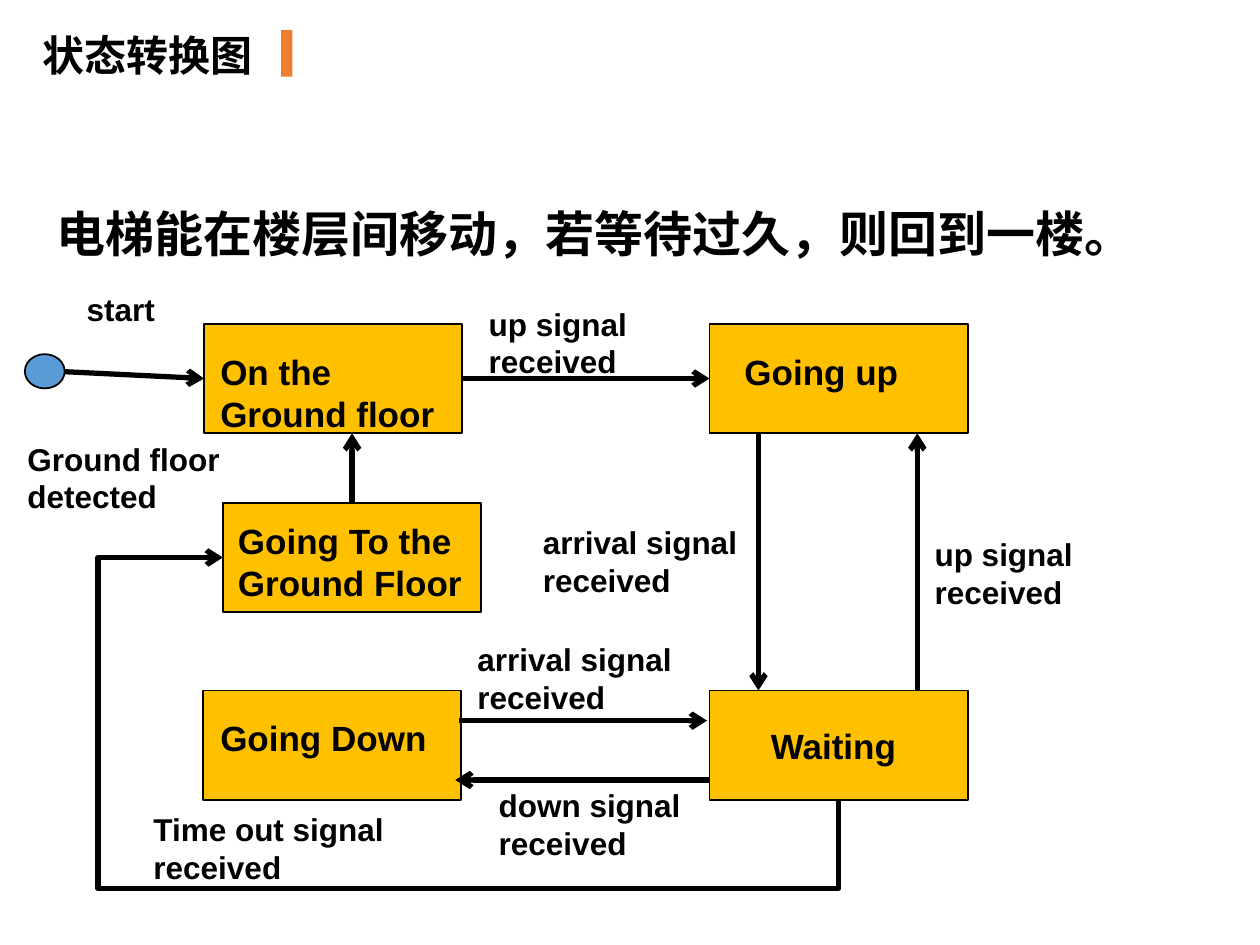
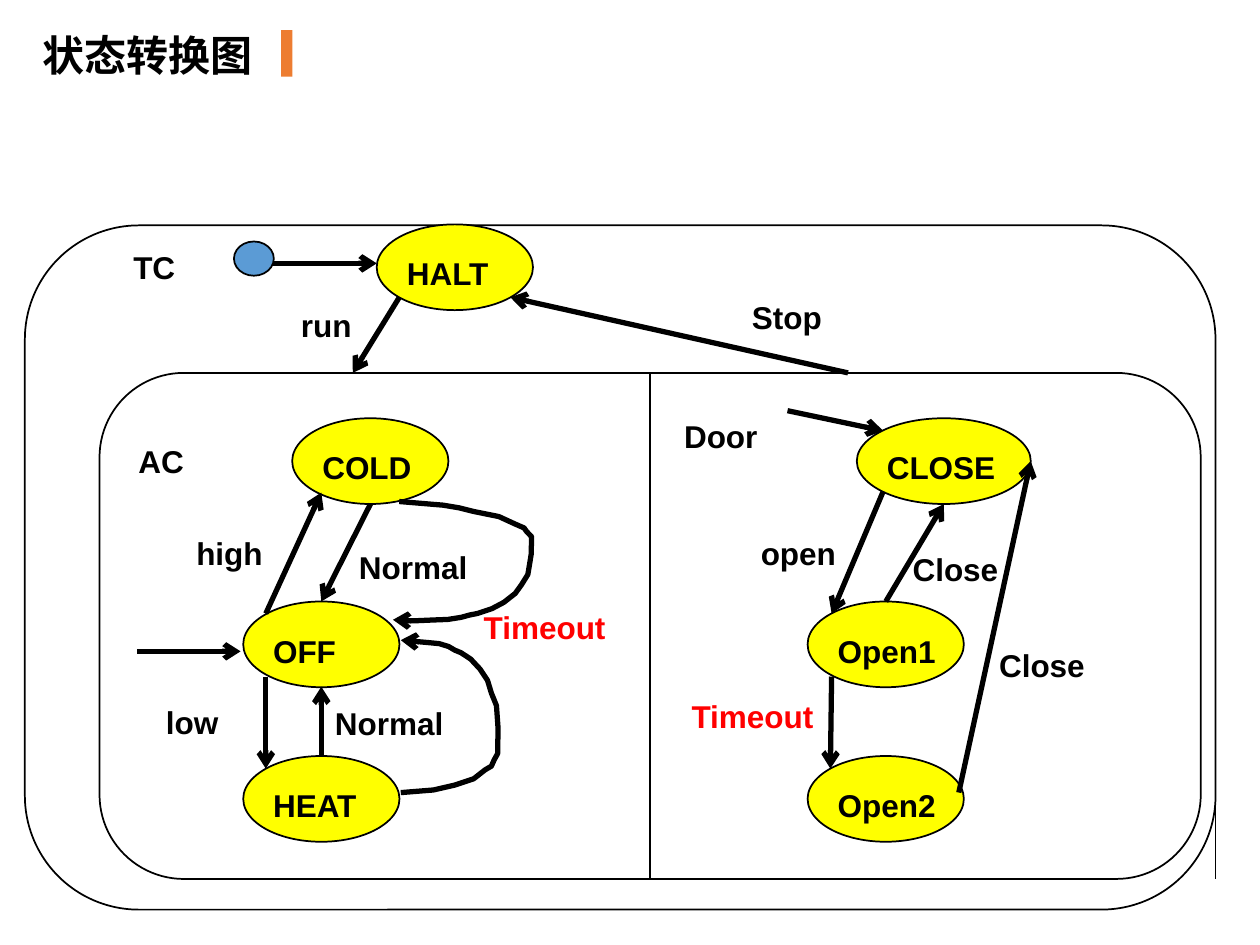
import dataclasses
import typing

import pptx
import pptx.dml.color
import pptx.enum.shapes
import pptx.enum.text
import pptx.oxml
import pptx.oxml.ns
import pptx.util

Pt = pptx.util.Pt
RGB = pptx.dml.color.RGBColor
Preset = pptx.enum.shapes.MSO_SHAPE
Link = pptx.enum.shapes.MSO_CONNECTOR
Align = pptx.enum.text.PP_ALIGN
Anchor = pptx.enum.text.MSO_ANCHOR
Fit = pptx.enum.text.MSO_AUTO_SIZE
TOP, LEFT, BOTTOM, RIGHT = range(4)


@dataclasses.dataclass(frozen=True)
class Theme:
    black: RGB = RGB(0, 0, 0)
    white: RGB = RGB(255, 255, 255)
    amber: RGB = RGB(0xFF, 0xC0, 0)
    yellow: RGB = RGB(255, 255, 0)
    red: RGB = RGB(255, 0, 0)
    blue: RGB = RGB(0x5B, 0x9B, 0xD5)
    accent: RGB = RGB(0xED, 0x7D, 0x31)
    label_font: str = "Arial"
    body_font: str = "Cabin"
    title_font: str = "Noto Sans CJK SC"
    title_size: int = 24
    body_size: int = 28
    state_size: int = 20
    label_size: int = 18
    outline: int = 1
    arrow: int = 3


THEME = Theme()
GROUND_SIZE = (147.6, 62.6)
OVAL_SIZE = (89.3, 49)
DOT_SIZE = (22.8, 19.6)


class Figure(typing.NamedTuple):
    preset: Preset
    left: float
    top: float
    size: tuple[float, float]
    fill: RGB


class Label(typing.NamedTuple):
    text: str
    left: float
    top: float
    width: float
    lines: int = 1
    size: int = THEME.label_size
    color: RGB = THEME.black


class Line(typing.NamedTuple):
    start: tuple[float, float]
    end: tuple[float, float]
    begin_join: tuple[str, int] | None = None
    end_join: tuple[str, int] | None = None
    arrow: bool = True


class Curve(typing.NamedTuple):
    points: list[tuple[float, float]]


def state(left: float, top: float) -> Figure:
    return Figure(Preset.RECTANGLE, left, top, GROUND_SIZE, THEME.amber)


def oval(left: float, top: float, width: float = OVAL_SIZE[0]) -> Figure:
    return Figure(Preset.OVAL, left, top, (width, OVAL_SIZE[1]), THEME.yellow)


def dot(left: float, top: float) -> Figure:
    return Figure(Preset.OVAL, left, top, DOT_SIZE, THEME.blue)


def frame(left: float, top: float, width: float, height: float) -> Figure:
    return Figure(Preset.ROUNDED_RECTANGLE, left, top, (width, height), THEME.white)


LIFT_STATES = {
    "ground": state(116.6, 185),
    "up": state(405.4, 185),
    "down": state(115.9, 394.6),
    "waiting": state(405.4, 394.6),
    "returning": state(127.4, 287.3),
    "start": dot(14.2, 202.4),
}
LIFT_LINES = [
    Line((263.5, 216), (405.4, 216), ("ground", RIGHT), ("up", LEFT)),
    Line((433.4, 247.6), (433.4, 394.6)),
    Line((405.4, 445.7), (260.2, 445.7)),
    Line((262.1, 411.8), (404, 411.8)),
    Line((524.2, 394.6), (524.2, 247.6)),
    Line((201.2, 287.3), (201.2, 247.6), ("returning", TOP)),
    Line((37, 212.4), (116.6, 214), None, ("ground", LEFT)),
]
LIFT_LABELS = [
    Label("On the Ground floor", 118.8, 196.6, 141.8, 2, THEME.state_size),
    Label("Going up", 418.3, 196.6, 121.7, 1, THEME.state_size),
    Label("Going Down", 118.8, 406.1, 141.8, 1, THEME.state_size),
    Label("Going To the Ground Floor", 128.9, 293.4, 144.7, 2, THEME.state_size),
    Label("Waiting", 433.4, 410.4, 89.3, 1, THEME.state_size),
    Label("up signal received", 272.2, 170.6, 124.6, 2),
    Label("arrival signal received", 303.1, 295.2, 130.3, 2),
    Label("up signal received", 527, 302.4, 124.6, 2),
    Label("arrival signal received", 265.7, 362.2, 130.3, 2),
    Label("down signal received", 277.9, 445.7, 136.8, 2),
    Label("Time out signal received", 80.6, 459.4, 179.3, 2),
    Label("Ground floor detected", 8.6, 247.7, 179.3, 2),
    Label("start", 42.5, 162, 62.6),
]

CONTROL_FIGURES = {
    "outer": frame(14.2, 128.8, 680.4, 391),
    "inner": frame(56.9, 213.1, 629.3, 289.2),
    "halt": oval(215.3, 128.2),
    "start": dot(133.7, 138),
    "cold": oval(167, 239),
    "off": oval(139, 343.7),
    "heat": oval(139, 432),
    "close": oval(489.6, 239, 99.4),
    "open1": oval(461.5, 343.7),
    "open2": oval(461.5, 432),
}
CONTROL_CURVES = [
    Curve([(229, 452.9), (247.7, 451.4), (259.9, 448.6), (270.7, 445), (277.2, 439.9),
           (280.8, 437.8), (282.4, 434.2), (284.4, 430.6), (284.6, 416), (283.7, 403.2),
           (280.8, 396), (278.6, 388.8), (274.3, 382.3), (269, 376.6), (263.5, 373),
           (259.9, 371.5), (256.3, 369.4), (251, 367.8), (244.8, 367.2), (229, 365.8)]),
    Curve([(228.2, 286.6), (253.4, 288.7), (262.4, 290.2), (270.7, 292.3), (285.1, 295.2),
           (294.5, 299.5), (299.5, 301.7), (301, 303.8), (303.8, 306.7), (303.6, 316.8),
           (301.7, 328.3), (298.1, 334.1), (294.5, 339.1), (288, 344.2), (281.2, 347.8),
           (272.9, 350.6), (268.6, 351.4), (263.5, 352.8), (256, 354), (247.7, 354.3),
           (236, 354.8), (224.6, 354.2)]),
]
CONTROL_LINES = [
    Line((156.2, 150.5), (215.3, 150.5)),
    Line((228.2, 169.9), (201.6, 213.1)),
    Line((484.6, 213.1), (291.6, 169.9)),
    Line((371.5, 213.1), (371.5, 502.3), ("inner", TOP), ("inner", BOTTOM), False),
    Line((694.6, 213.1), (694.6, 502.3), arrow=False),
    Line((78.5, 372.2), (137.5, 372.2)),
    Line((211.7, 288), (183.6, 343.7)),
    Line((151.9, 350.6), (183.6, 281.5)),
    Line((151.9, 386.6), (151.9, 439.2)),
    Line((183.6, 432), (183.6, 392.4)),
    Line((506.2, 343.7), (539.3, 288)),
    Line((504.7, 280.8), (475.2, 350.6)),
    Line((450, 234.7), (504.7, 246.2)),
    Line((475.2, 386.6), (474.5, 439.2)),
    Line((547.9, 452.9), (589, 263.5)),
]
CONTROL_LABELS = [
    Label("TC", 69.1, 138.2, 45.4),
    Label("HALT", 225.4, 141.8, 79.2),
    Label("run", 164.9, 171.4, 45.4),
    Label("Stop", 422.6, 167, 85),
    Label("AC", 72, 249.1, 45.4),
    Label("COLD", 177.1, 252.7, 79.2),
    Label("OFF", 149, 357.8, 79.2),
    Label("HEAT", 149, 445.7, 79.2),
    Label("high", 105.1, 301.7, 79.2),
    Label("low", 87.8, 398.2, 79.2),
    Label("Normal", 198, 309.6, 79.2),
    Label("Normal", 184.3, 398.9, 79.2),
    Label("Timeout", 269.3, 343.8, 87.1, color=THEME.red),
    Label("Door", 383.8, 234.7, 68.4),
    Label("CLOSE", 499.7, 252.7, 79.2),
    Label("Open1", 471.6, 357.8, 79.2),
    Label("Open2", 471.6, 445.7, 79.2),
    Label("open", 427.7, 301.7, 79.2),
    Label("Timeout", 388.1, 394.6, 103.7, color=THEME.red),
    Label("Close", 514.4, 311, 74.6),
    Label("Close", 563.8, 365.8, 87.1),
]


def assign(target: typing.Any, values: dict[str, typing.Any]) -> None:
    for name, value in values.items():
        setattr(target, name, value)


def add_element(parent: typing.Any, tag: str, **values: str) -> None:
    element = pptx.oxml.parse_xml(f"<{tag} {pptx.oxml.ns.nsdecls('a')}/>")
    for name, value in values.items():
        element.set(name, value)
    parent.append(element)


def write(box: typing.Any, text: str, font: str, size: int, color: RGB) -> typing.Any:
    assign(box.text_frame, {"word_wrap": True, "vertical_anchor": Anchor.TOP})
    para = box.text_frame.paragraphs[0]
    assign(para, {"alignment": Align.LEFT, "space_before": Pt(0)})
    span = para.add_run()
    span.text = text
    assign(span.font, {"size": Pt(size), "bold": True, "name": font})
    span.font.color.rgb = color
    return para


def place(box: typing.Any, left: float, top: float, width: float, height: float) -> None:
    assign(box, {"left": Pt(left), "top": Pt(top), "width": Pt(width), "height": Pt(height)})


def fill_placeholder(box: typing.Any, text: str, font: str, size: int) -> typing.Any:
    para = write(box, text, font, size, THEME.black)
    add_element(para.runs[0].font._element, "a:ea", typeface=THEME.title_font)
    return para


def stroke(shape: typing.Any, width: int, arrow: bool = False) -> None:
    shape.line.width = Pt(width)
    shape.line.color.rgb = THEME.black
    if arrow:
        add_element(shape.line._get_or_add_ln(), "a:tailEnd", type="arrow")


def paint(shape: typing.Any, color: RGB) -> None:
    shape.shadow.inherit = False
    shape.fill.solid()
    shape.fill.fore_color.rgb = color


def add_figure(page: typing.Any, figure: Figure) -> typing.Any:
    shape = page.shapes.add_shape(
        figure.preset, Pt(figure.left), Pt(figure.top), *map(Pt, figure.size))
    paint(shape, figure.fill)
    stroke(shape, THEME.outline)
    return shape


def add_label(page: typing.Any, label: Label) -> None:
    height = 7.2 + label.lines * label.size * 1.2
    box = page.shapes.add_textbox(*map(Pt, (label.left, label.top, label.width, height)))
    write(box, label.text, THEME.label_font, label.size, label.color)
    box.text_frame.auto_size = Fit.SHAPE_TO_FIT_TEXT


def add_line(page: typing.Any, line: Line, figures: dict[str, typing.Any]) -> None:
    connector = page.shapes.add_connector(
        Link.STRAIGHT, *map(Pt, (*line.start, *line.end)))
    if line.begin_join:
        connector.begin_connect(figures[line.begin_join[0]], line.begin_join[1])
    if line.end_join:
        connector.end_connect(figures[line.end_join[0]], line.end_join[1])
    stroke(connector, THEME.arrow if line.arrow else THEME.outline, line.arrow)
    add_element(connector._element.spPr, "a:effectLst")


def add_curve(page: typing.Any, curve: Curve) -> None:
    first, *others = [(Pt(x), Pt(y)) for x, y in curve.points]
    builder = page.shapes.build_freeform(*first)
    builder.add_line_segments(others, close=False)
    shape = builder.convert_to_shape()
    paint(shape, THEME.white)
    stroke(shape, THEME.arrow, True)


def add_timeout_route(page: typing.Any, source: typing.Any, target: typing.Any) -> None:
    start_x, start_y = source.left + source.width // 2, source.top + source.height
    end_x, end_y = target.left, target.top + target.height // 2
    center_x, center_y = (start_x + end_x) // 2, (start_y + end_y) // 2
    half_width, half_height = (start_y - end_y) // 2, (start_x - end_x) // 2
    connector = page.shapes.add_connector(Link.ELBOW, start_x, start_y, end_x, end_y)
    connector.begin_connect(source, BOTTOM)
    connector.end_connect(target, LEFT)
    assign(connector, {
        "begin_x": center_x + half_width, "begin_y": center_y - half_height,
        "end_x": center_x - half_width, "end_y": center_y + half_height})
    properties = connector._element.spPr
    properties.find(pptx.oxml.ns.qn("a:xfrm")).set("rot", "5400000")
    geometry = properties.find(pptx.oxml.ns.qn("a:prstGeom"))
    geometry.set("prst", "bentConnector4")
    guides = geometry.find(pptx.oxml.ns.qn("a:avLst"))
    add_element(guides, "a:gd", name="adj1", fmla="val -36400")
    add_element(guides, "a:gd", name="adj2", fmla="val 120300")
    stroke(connector, THEME.arrow, True)
    add_element(properties, "a:effectLst")


def add_page(deck: typing.Any, layout: int) -> typing.Any:
    page = deck.slides.add_slide(deck.slide_layouts[layout])
    title = page.shapes.title
    place(title, 17.3, 13, 325.4, 36)
    fill_placeholder(title, "状态转换图", THEME.title_font, THEME.title_size)
    bar = page.shapes.add_shape(Preset.RECTANGLE, *map(Pt, (160.6, 17.3, 6.5, 26.6)))
    paint(bar, THEME.accent)
    bar.line.fill.background()
    return page


def draw(page: typing.Any, figures: dict[str, Figure], curves: list[Curve],
         lines: list[Line], labels: list[Label]) -> dict[str, typing.Any]:
    shapes = {name: add_figure(page, figure) for name, figure in figures.items()}
    for curve in curves:
        add_curve(page, curve)
    for line in lines:
        add_line(page, line, shapes)
    for label in labels:
        add_label(page, label)
    return shapes


def add_lift_page(deck: typing.Any) -> None:
    page = add_page(deck, 1)
    body = page.placeholders[1]
    place(body, 25.2, 116.6, 652.3, 45.4)
    para = fill_placeholder(
        body, "电梯能在楼层间移动，若等待过久，则回到一楼。", THEME.body_font, THEME.body_size)
    para.line_spacing = 0.9
    properties = para._p.get_or_add_pPr()
    assign_indent = {"marL": "0", "indent": "0"}
    for name, value in assign_indent.items():
        properties.set(name, value)
    add_element(properties, "a:buNone")
    shapes = draw(page, LIFT_STATES, [], LIFT_LINES, LIFT_LABELS)
    add_timeout_route(page, shapes["waiting"], shapes["returning"])


def main() -> None:
    deck = pptx.Presentation()
    assign(deck, {"slide_width": Pt(720), "slide_height": Pt(540)})
    add_lift_page(deck)
    draw(add_page(deck, 5), CONTROL_FIGURES, CONTROL_CURVES, CONTROL_LINES, CONTROL_LABELS)
    deck.save("out.pptx")


if __name__ == "__main__":
    main()
